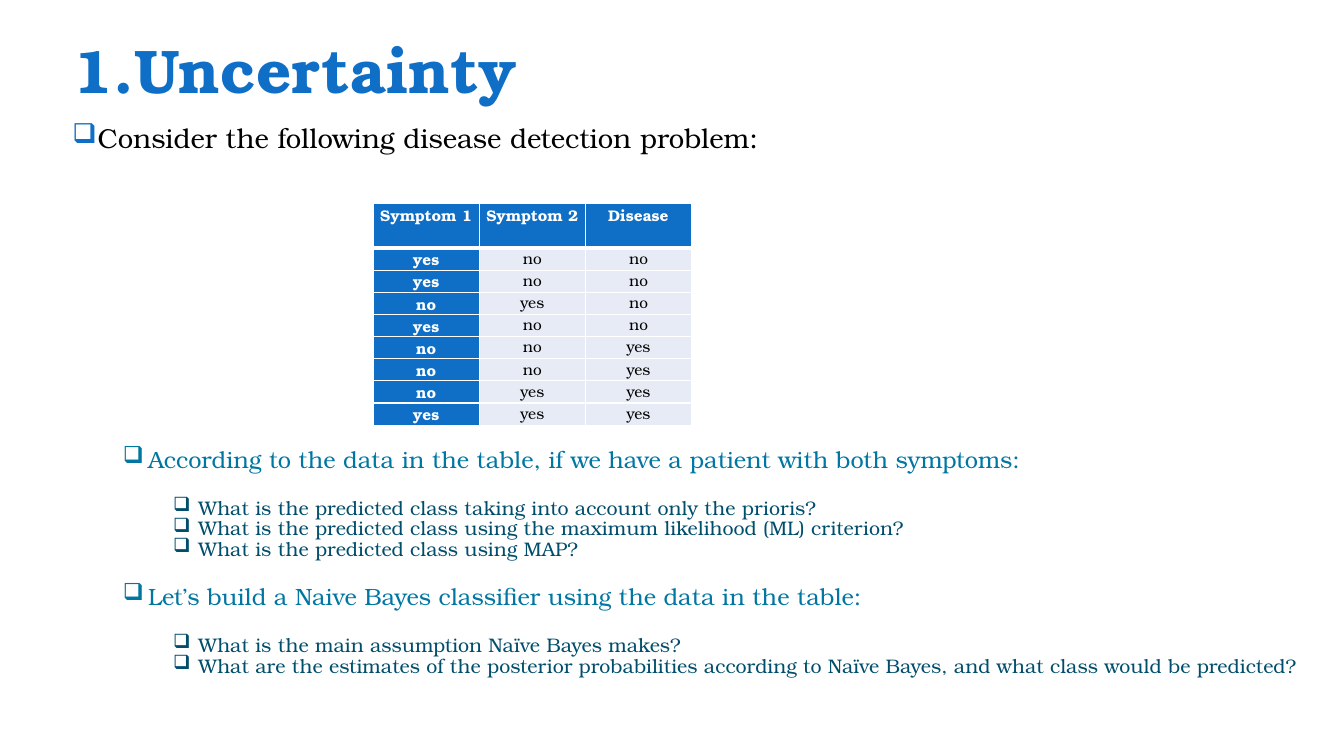
from lxml.etree import SubElement
from pptx import Presentation
from pptx.dml.color import RGBColor
from pptx.enum.text import MSO_ANCHOR, MSO_AUTO_SIZE, PP_ALIGN
from pptx.oxml.ns import qn
from pptx.util import Inches, Pt

FONT = "TeX Gyre Bonum"
COLORS = {
    "blue": "0F6FC6",
    "black": "000000",
    "teal": "0076A3",
    "deep": "004E6C",
    "white": "FFFFFF",
    "pale": "E7EBF5",
}
LEVELS = [(19.6, "black"), (16.8, "teal"), (14, "deep")]
OUTLINE = [
    (0, 0, "Consider the following disease detection problem:"),
    (1, 214, "According to the data in the table, if we have a patient with both symptoms:"),
    (2, 21.5, "What is the predicted class taking into account only the prioris?"),
    (2, 2.8, "What is the predicted class using the maximum likelihood (ML) criterion?"),
    (2, 2.8, "What is the predicted class using MAP?"),
    (1, 21.5, "Let’s build a Naive Bayes classifier using the data in the table:"),
    (2, 21.5, "What is the main assumption Naïve Bayes makes?"),
    (2, 2.8, "What are the estimates of the posterior probabilities according to Naïve Bayes, "
             "and what class would be predicted?"),
]
PATIENTS = [
    ("Symptom 1", "Symptom 2", "Disease"),
    ("yes", "no", "no"),
    ("yes", "no", "no"),
    ("no", "yes", "no"),
    ("yes", "no", "no"),
    ("no", "no", "yes"),
    ("no", "no", "yes"),
    ("no", "yes", "yes"),
    ("yes", "yes", "yes"),
]


def rgb(name):
    return RGBColor.from_string(COLORS[name])


def add_run(paragraph, text, size, color, bold=False):
    run = paragraph.add_run()
    run.text = text
    run.font.name = FONT
    run.font.size = Pt(size)
    run.font.bold = bold
    run.font.color.rgb = rgb(color)


def add_bullet(paragraph, level, color):
    properties = paragraph._p.get_or_add_pPr()
    properties.set("marL", str(Inches(0.25 + 0.5 * level)))
    properties.set("indent", str(Inches(-0.25)))
    bullet_color = SubElement(properties, qn("a:buClr"))
    SubElement(bullet_color, qn("a:srgbClr"), val=COLORS[color])
    SubElement(properties, qn("a:buChar"), char="❑")


def add_borders(cell, bottom_width):
    properties = cell._tc.get_or_add_tcPr()
    for side, width in (("L", 1), ("R", 1), ("T", 1), ("B", bottom_width)):
        border = SubElement(properties, qn(f"a:ln{side}"), w=str(Pt(width)))
        fill = SubElement(border, qn("a:solidFill"))
        SubElement(fill, qn("a:srgbClr"), val=COLORS["white"])


def place_title(slide, left, top, width, height):
    title = slide.shapes.title
    title.left, title.top = Inches(left), Inches(top)
    title.width, title.height = Inches(width), Inches(height)
    frame = title.text_frame
    frame.auto_size = MSO_AUTO_SIZE.NONE
    frame.vertical_anchor = MSO_ANCHOR.MIDDLE
    heading = frame.paragraphs[0]
    heading.alignment = PP_ALIGN.LEFT
    heading.line_spacing = 0.9
    add_run(heading, "1.Uncertainty", 44, "blue", True)


def add_outline(slide, left, top, width, height):
    outline = slide.shapes.add_textbox(Inches(left), Inches(top), Inches(width), Inches(height))
    frame = outline.text_frame
    frame.word_wrap = True
    for index, (level, space, text) in enumerate(OUTLINE):
        item = frame.add_paragraph() if index else frame.paragraphs[0]
        size, color = LEVELS[level]
        item.level = level
        item.line_spacing = 0.7
        item.space_before = Pt(space)
        add_bullet(item, level, color if level else "blue")
        add_run(item, text, size, color)


def add_patient_table(slide, left, top, width, row_height):
    rows, columns = len(PATIENTS), len(PATIENTS[0])
    table = slide.shapes.add_table(
        rows, columns, Inches(left), Inches(top), Inches(width), Inches(row_height * (rows + 1))
    ).table
    table.first_col = True
    table.horz_banding = False
    for row_index, values in enumerate(PATIENTS):
        is_header = row_index == 0
        table.rows[row_index].height = Inches(row_height * (2 if is_header else 1))
        for column_index, value in enumerate(values):
            cell = table.cell(row_index, column_index)
            strong = is_header or column_index == 0
            add_borders(cell, 3 if is_header else 1)
            cell.fill.solid()
            cell.fill.fore_color.rgb = rgb("blue" if strong else "pale")
            cell.margin_left = cell.margin_right = Inches(0.07)
            cell.margin_top = cell.margin_bottom = 0
            entry = cell.text_frame.paragraphs[0]
            entry.alignment = PP_ALIGN.CENTER
            add_run(entry, value, 11, "white" if strong else "black", strong)


def main():
    deck = Presentation()
    deck.slide_width, deck.slide_height = Inches(13.33), Inches(7.5)
    slide = deck.slides.add_slide(deck.slide_layouts[5])
    place_title(slide, 0.62, 0, 11.5, 1.45)
    add_outline(slide, 0.62, 1.24, 12.63, 6.01)
    add_patient_table(slide, 3.7, 2.02, 3.16, 0.22)
    deck.save("out.pptx")


if __name__ == "__main__":
    main()
